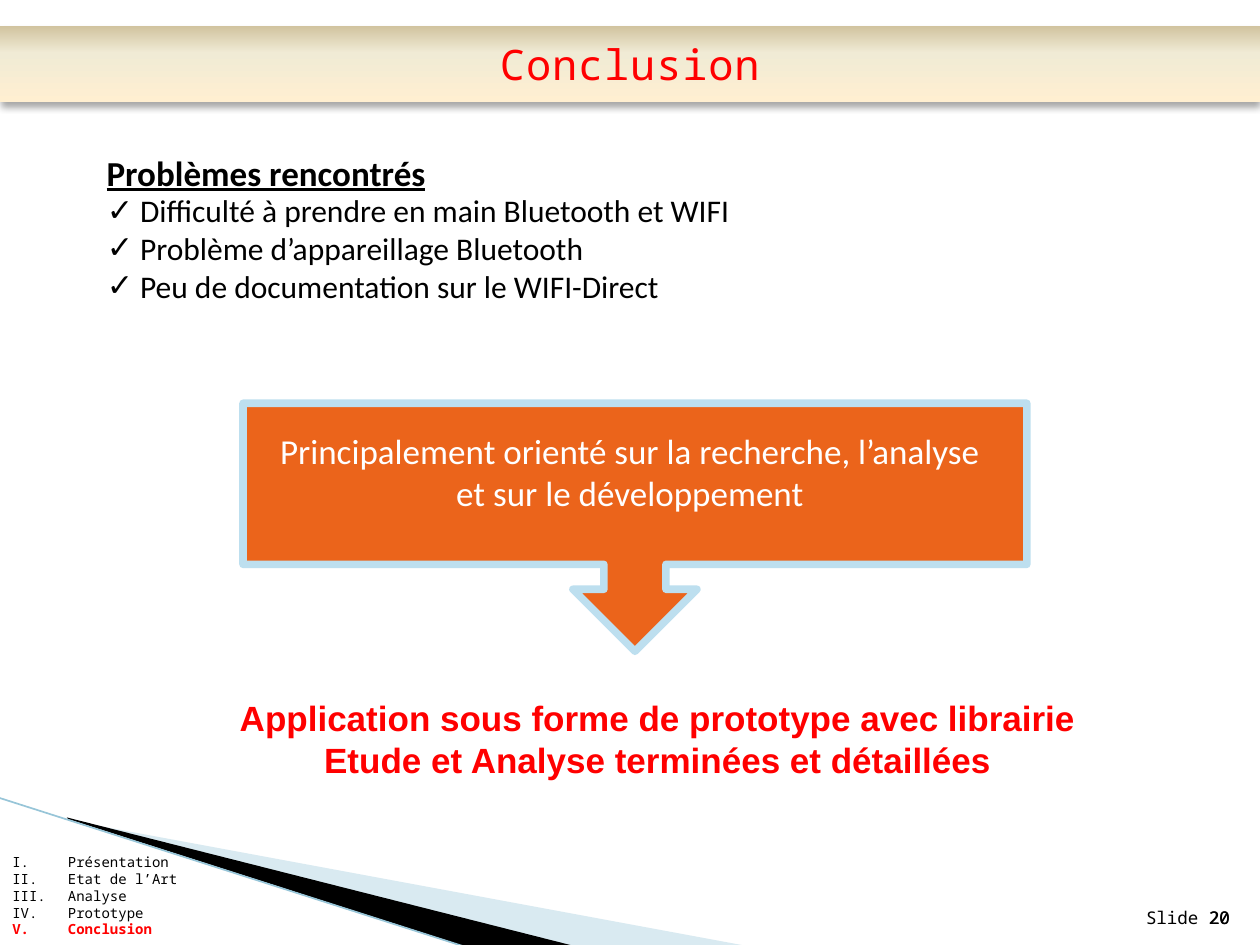
"""Build the conclusion slide: problems met, orientation callout and outcome."""
from lxml import etree
from pptx import Presentation
from pptx import util as u
from pptx.dml.color import RGBColor
from pptx.enum import shapes, text
from pptx.oxml import parse_xml
from pptx.oxml.ns import nsdecls, qn

BLACK = RGBColor(0x00, 0x00, 0x00)
WHITE = RGBColor(0xFF, 0xFF, 0xFF)
RED = RGBColor(0xFF, 0x00, 0x00)
ORANGE = RGBColor(0xEB, 0x64, 0x1B)
PALE_BLUE = RGBColor(0xBD, 0xDF, 0xEF)
MIST_BLUE = RGBColor(0xA0, 0xCB, 0xDC)
EDGE_BLUE = RGBColor(0x97, 0xC5, 0xD8)
BANNER_STOPS = [
    (0, RGBColor(0xFF, 0xEF, 0xD1)),
    (65, RGBColor(0xF0, 0xEB, 0xD5)),
    (100, RGBColor(0xD1, 0xC3, 0x9F)),
]

MONO = "Noto Sans Mono"
LEFT, CENTER, RIGHT = text.PP_ALIGN.LEFT, text.PP_ALIGN.CENTER, text.PP_ALIGN.RIGHT
TOP, MIDDLE, BOTTOM = text.MSO_ANCHOR.TOP, text.MSO_ANCHOR.MIDDLE, text.MSO_ANCHOR.BOTTOM

TITLE = ["Conclusion"]
TITLE_BOX = (0, 0.53, 25.4, 1.52)
TITLE_FONT = {"name": MONO, "size": u.Pt(24), "color": RED}

PROBLEMS = [
    "Difficulté à prendre en main Bluetooth et WIFI",
    "Problème d’appareillage Bluetooth",
    "Peu de documentation sur le WIFI-Direct",
]
PROBLEMS_BOX = (1.9, 3.73, 22.81, 2.57)
PROBLEMS_FONT = {"name": "Calibri", "size": u.Pt(18), "color": BLACK}

AGENDA = ["Présentation", "Etat de l’Art", "Analyse", "Prototype", "Conclusion"]
AGENDA_BOX = (0, 17.09, 5.56, 1.96)
AGENDA_FONT = {"name": MONO, "size": u.Pt(8), "color": BLACK}

NUMBER_FONT = {"name": MONO, "size": u.Pt(10), "color": BLACK}
TEXT_BOXES = [
    (["20"], (24.03, 17.81, 1.02, 1.02), NUMBER_FONT, RIGHT, BOTTOM),
    (["Slide 20"], (22.5, 17.81, 2.54, 1.02), NUMBER_FONT, RIGHT, BOTTOM),
    (["Principalement orienté sur la recherche, l’analyse", "et sur le développement"],
     (3.3, 8.53, 18.8, 1.96),
     {"name": "Calibri", "size": u.Pt(20), "color": WHITE}, CENTER, TOP),
    (["Application sous forme de prototype avec librairie",
      "Etude et Analyse terminées et détaillées"],
     (2.11, 13.92, 22.3, 1.96),
     {"name": "Arial", "size": u.Pt(20), "color": RED, "bold": True}, CENTER, TOP),
    (["Problèmes rencontrés"], (1.9, 2.92, 13.41, 1.12),
     {"name": "Calibri", "size": u.Pt(20), "color": BLACK, "bold": True, "underline": True},
     LEFT, TOP),
]

CALLOUT_BOX = (4.9, 8.13, 15.8, 5)
WEDGES = [
    ([(1.4, 16.54), (15.11, 19.08), (11.58, 19.08), (1.4, 16.51)], MIST_BLUE, 40),
    ([(1.35, 16.48), (11.61, 19.08), (9.45, 19.1), (1.37, 16.51)], BLACK, 100),
]
EDGE = (-0.03, 16.08, 9.42, 19.1)


def lengths(values):
    return [u.Cm(value) for value in values]


def place(shape, box):
    for name, value in zip(("left", "top", "width", "height"), lengths(box)):
        setattr(shape, name, value)


def format_font(font, values):
    for name, value in values.items():
        if name == "color":
            font.color.rgb = value
        else:
            setattr(font, name, value)


def write(shape, lines, font, align=LEFT, anchor=TOP):
    frame = shape.text_frame
    frame.text = "\n".join(lines)
    frame.word_wrap = True
    frame.auto_size = text.MSO_AUTO_SIZE.NONE
    frame.vertical_anchor = anchor
    for paragraph in frame.paragraphs:
        paragraph.alignment = align
        paragraph.space_before = u.Pt(0)
        format_font(paragraph.runs[0].font, font)
    return frame.paragraphs


def add_bullets(paragraphs, indent, tag, **attributes):
    for paragraph in paragraphs:
        properties = paragraph._p.get_or_add_pPr()
        properties.set("marL", str(u.Cm(indent)))
        properties.set("indent", str(-u.Cm(indent)))
        etree.SubElement(properties, qn(tag), attributes)


def style_banner(shape):
    stops = "".join(
        f'<a:gs pos="{position * 1000}"><a:srgbClr val="{color}"/></a:gs>'
        for position, color in BANNER_STOPS
    )
    shape._element.spPr.append(parse_xml(
        f'<a:gradFill {nsdecls("a")} rotWithShape="1"><a:gsLst>{stops}</a:gsLst>'
        '<a:lin ang="16200000" scaled="0"/></a:gradFill>'))
    shape._element.spPr.append(parse_xml(
        f'<a:effectLst {nsdecls("a")}><a:outerShdw blurRad="{u.Pt(4)}" dist="{u.Pt(3)}" '
        'dir="5400000" rotWithShape="0"><a:srgbClr val="000000"><a:alpha val="35000"/>'
        '</a:srgbClr></a:outerShdw></a:effectLst>'))


def add_wedge(slide, points, color, opacity):
    start, *others = [lengths(point) for point in points]
    builder = slide.shapes.build_freeform(*start)
    builder.add_line_segments(others)
    shape = builder.convert_to_shape()
    shape.shadow.inherit = False
    shape.fill.solid()
    shape.fill.fore_color.rgb = color
    shape.line.fill.background()
    if opacity < 100:
        fill_color = shape._element.spPr.find(f"{qn('a:solidFill')}/{qn('a:srgbClr')}")
        etree.SubElement(fill_color, qn("a:alpha"), val=str(opacity * 1000))


def add_edge(slide):
    edge = slide.shapes.add_connector(shapes.MSO_CONNECTOR.STRAIGHT, *lengths(EDGE))
    edge.line.color.rgb = EDGE_BLUE
    edge.line.width = u.Pt(0.95)
    etree.SubElement(edge._element.spPr, qn("a:effectLst"))


def add_callout(slide):
    callout = slide.shapes.add_shape(
        shapes.MSO_SHAPE.DOWN_ARROW_CALLOUT, *lengths(CALLOUT_BOX))
    callout.shadow.inherit = False
    callout.fill.solid()
    callout.fill.fore_color.rgb = ORANGE
    callout.line.color.rgb = PALE_BLUE
    callout.line.width = u.Pt(4.33)


def main():
    presentation = Presentation()
    presentation.slide_width, presentation.slide_height = lengths((25.4, 19.05))
    slide = presentation.slides.add_slide(presentation.slide_layouts[1])

    for wedge in WEDGES:
        add_wedge(slide, *wedge)
    add_edge(slide)
    add_callout(slide)

    title = slide.shapes.title
    place(title, TITLE_BOX)
    style_banner(title)
    for paragraph in write(title, TITLE, TITLE_FONT, CENTER, MIDDLE):
        paragraph.runs[0].font._element.set("spc", "50")

    body = slide.placeholders[1]
    place(body, PROBLEMS_BOX)
    add_bullets(write(body, PROBLEMS, PROBLEMS_FONT), 0.67, "a:buChar", char="✓")

    agenda = slide.shapes.add_textbox(*lengths(AGENDA_BOX))
    entries = write(agenda, AGENDA, AGENDA_FONT)
    add_bullets(entries, 1.12, "a:buAutoNum", type="romanUcPeriod")
    format_font(entries[-1].runs[0].font, {"color": RED, "bold": True})

    for lines, box, font, align, anchor in TEXT_BOXES:
        write(slide.shapes.add_textbox(*lengths(box)), lines, font, align, anchor)

    presentation.save("out.pptx")


if __name__ == "__main__":
    main()
